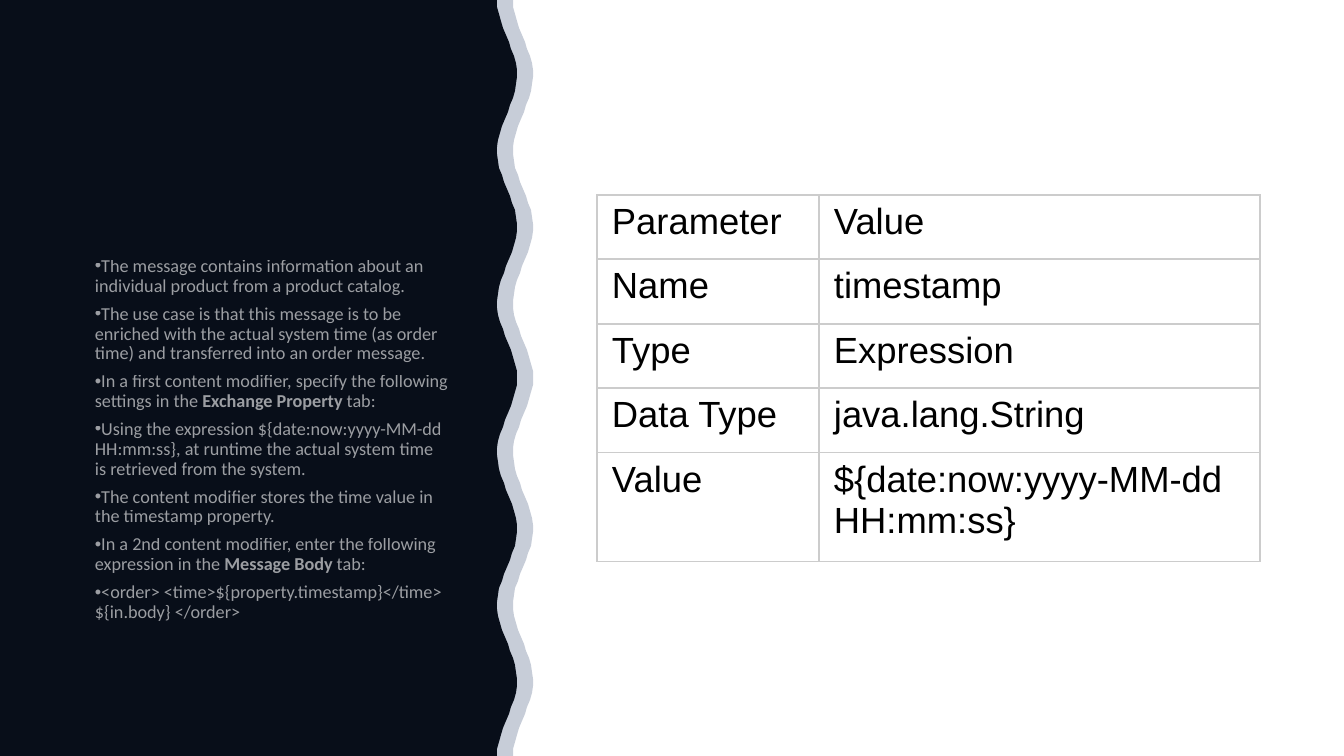
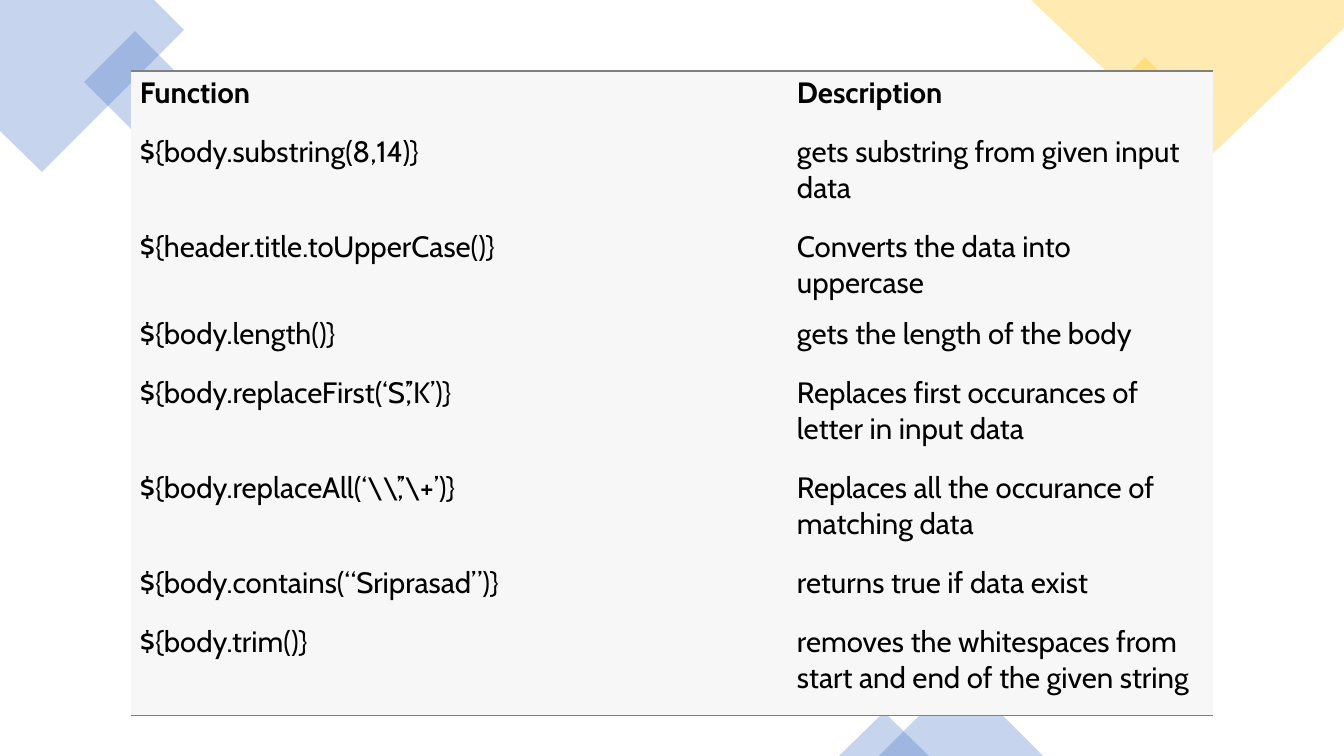
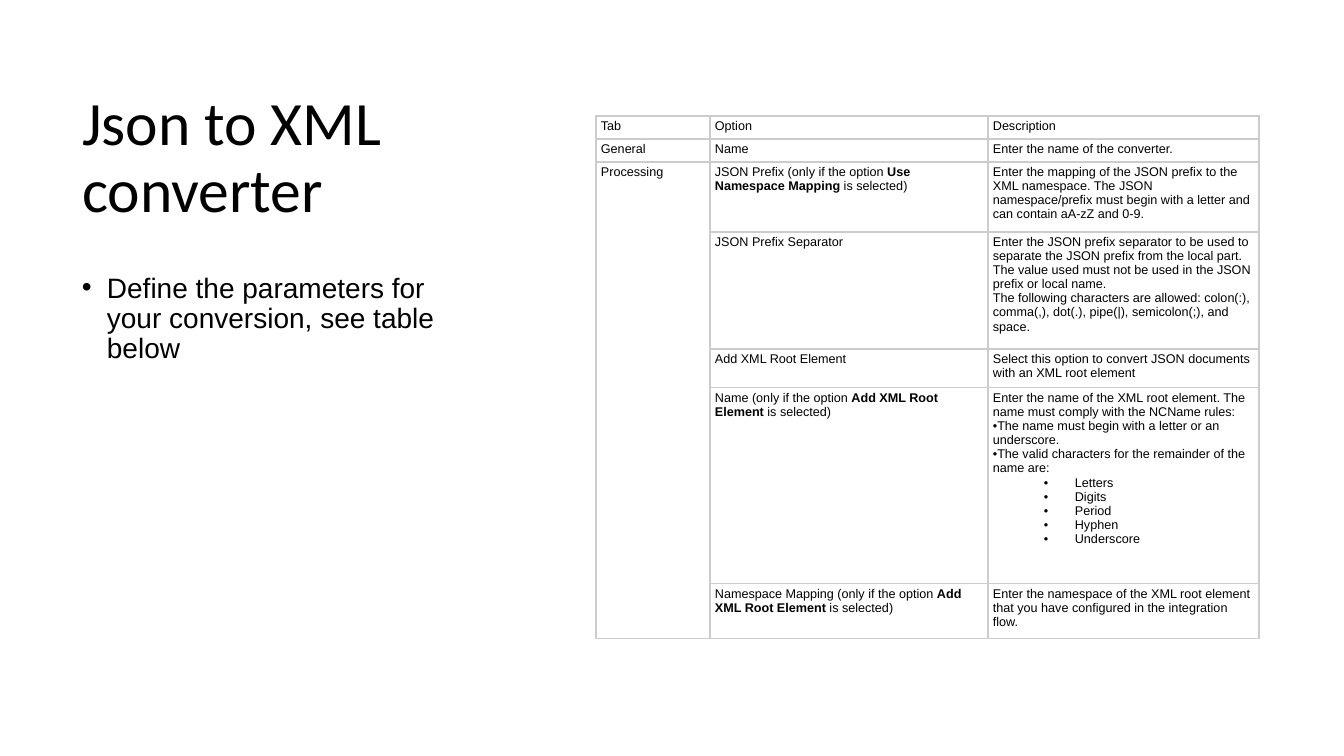
import math

import pptx
import pptx.dml.color
import pptx.enum.shapes
import pptx.enum.text
import pptx.oxml.ns
import pptx.util
from lxml import etree

WIDTH, HEIGHT = 1344, 756
PX = 12192000 / WIDTH
BLACK, WHITE = "000000", "FFFFFF"
NAVY, BLUE, GOLD = "203864", "4472C4", "FFC000"
PALE_GRAY, RULE_GRAY, GRID_GRAY = "F7F7F7", "808080", "CCCCCC"
NO_STYLE = "{2D5ABB26-0587-4C30-8999-92F81FD0307C}"
qn = pptx.oxml.ns.qn


def paint(fill, color, opacity=100):
    """Make a shape, cell, line or font fill solid, with opacity in percent."""
    fill.solid()
    fill.fore_color.rgb = pptx.dml.color.RGBColor.from_string(color)
    if opacity < 100:
        solid = fill._xPr.find(qn("a:solidFill"))
        etree.SubElement(solid[0], qn("a:alpha"), val=str(opacity * 1000))


def write(paragraph, text, font, size, color=BLACK, opacity=100, bullet=None):
    """Add text, bold between ** marks; bullet is (left margin, first indent) in px."""
    if bullet is not None:
        properties = paragraph._p.get_or_add_pPr()
        properties.set("marL", str(round(bullet[0] * PX)))
        properties.set("indent", str(round(bullet[1] * PX)))
        etree.SubElement(properties, qn("a:buFont"), typeface="Arial")
        etree.SubElement(properties, qn("a:buChar"), char="•")
    for index, part in enumerate(text.split("**")):
        run = paragraph.add_run()
        run.text = part
        run.font.name = font
        run.font.size = pptx.util.Pt(size)
        run.font.bold = index % 2 == 1
        paint(run.font.fill, color, opacity)


presentation = pptx.Presentation()
presentation.slide_width = round(WIDTH * PX)
presentation.slide_height = round(HEIGHT * PX)
title_only, blank = presentation.slide_layouts[5], presentation.slide_layouts[6]
message_slide = presentation.slides.add_slide(blank)
function_slide = presentation.slides.add_slide(blank)
converter_slide = presentation.slides.add_slide(title_only)

# Decorations: the wavy panel and the corner diamonds
decorations = []
for middle, color, opacity in [(507, BLACK, 100), (523, NAVY, 25)]:
    wave = [(middle - 10 * math.cos(2 * math.pi * 5 * y / HEIGHT), y)
            for y in range(0, HEIGHT + 1, 7)]
    builder = message_slide.shapes.build_freeform(0, 0, scale=PX)
    builder.add_line_segments(wave + [(0, HEIGHT)])
    decorations.append((builder.convert_to_shape(), color, opacity))

corners = [
    ([(0, 0), (154, 0), (184, 30), (42, 172), (0, 131)], BLUE),
    ([(1344, 0), (1344, 28), (1203, 163), (1031, 0)], GOLD),
]
for points, color in corners:
    builder = function_slide.shapes.build_freeform(*points[0], scale=PX)
    builder.add_line_segments(points[1:])
    decorations.append((builder.convert_to_shape(), color, 30))

RECTANGLE = pptx.enum.shapes.MSO_SHAPE.RECTANGLE
TRIANGLE = pptx.enum.shapes.MSO_SHAPE.ISOSCELES_TRIANGLE
for kind, box, rotation, color in [
    (RECTANGLE, (99, 46, 72, 72), 315, BLUE),
    (RECTANGLE, (1107, 73, 76, 76), 315, GOLD),
    (TRIANGLE, (879, 674, 164, 82), 0, BLUE),
    (TRIANGLE, (839, 712, 90, 44), 0, BLUE),
]:
    shape = function_slide.shapes.add_shape(kind, *[round(length * PX) for length in box])
    shape.rotation = rotation
    decorations.append((shape, color, 30))

for shape, color, opacity in decorations:
    shape.shadow.inherit = False
    shape.line.fill.background()
    paint(shape.fill, color, opacity)

# Title and bulleted texts
title = converter_slide.shapes.title
title.left, title.top, title.width, title.height = [
    round(length * PX) for length in (72, 70, 386, 178)]
title.text_frame.auto_size = pptx.enum.text.MSO_AUTO_SIZE.NONE
title.text_frame.vertical_anchor = pptx.enum.text.MSO_ANCHOR.MIDDLE
title_paragraph = title.text_frame.paragraphs[0]
title_paragraph.alignment = pptx.enum.text.PP_ALIGN.LEFT
title_paragraph.line_spacing = 0.9
write(title_paragraph, "Json to XML converter", "Calibri", 44)

message_notes = [
    "The message contains information about an individual product from a product catalog.",
    "The use case is that this message is to be enriched with the actual system time "
    "(as order time) and transferred into an order message.",
    "In a first content modifier, specify the following settings in the "
    "**Exchange Property** tab:",
    "Using the expression ${date:now:yyyy-MM-dd HH:mm:ss}, at runtime the actual system "
    "time is retrieved from the system.",
    "The content modifier stores the time value in the timestamp property.",
    "In a 2nd content modifier, enter the following expression in the **Message Body** tab:",
    "<order> <time>${property.timestamp}</time> ${in.body} </order>",
]
converter_notes = ["Define the parameters for your conversion, see table below"]
for slide, box, notes, before, after, style in [
    (message_slide, (85, 252, 373, 423), message_notes, 0, 6,
     dict(font="Calibri", size=13, color=WHITE, opacity=60, bullet=(0, -25))),
    (converter_slide, (72, 269, 386, 417), converter_notes, 10, 0,
     dict(font="Arial", size=20, bullet=(25, -25))),
]:
    frame = slide.shapes.add_textbox(*[round(length * PX) for length in box]).text_frame
    frame.word_wrap = True
    for index, note in enumerate(notes):
        paragraph = frame.add_paragraph() if index else frame.paragraphs[0]
        paragraph.line_spacing = 0.9
        paragraph.space_before = pptx.util.Pt(before)
        paragraph.space_after = pptx.util.Pt(after)
        write(paragraph, note, **style)

# Tables: a line starting with • is a bullet, with – an indented bullet
cell_bullets = {"•": (0, 0), "–": (82, -31)}
property_rows = [
    ["Parameter", "Value"],
    ["Name", "timestamp"],
    ["Type", "Expression"],
    ["Data Type", "java.lang.String"],
    ["Value", "${date:now:yyyy-MM-dd HH:mm:ss}"],
]
function_rows = [
    ["**Function**", "**Description**"],
    ["${body.substring(8,14)}", "gets substring from given input data"],
    ["${header.title.toUpperCase()}", "Converts the data into uppercase"],
    ["${body.length()}", "gets the length of the body"],
    ["${body.replaceFirst(‘S’,’K’)}", "Replaces first occurances of letter in input data"],
    [r"${body.replaceAll(‘\\’,’\+’)}", "Replaces all the occurance of matching data"],
    ["${body.contains(“Sriprasad”)}", "returns true if data exist"],
    ["${body.trim()}", "removes the whitespaces from start and end of the given string"],
]
option_rows = [
    ["Tab", "Option", "Description"],
    ["General", "Name", "Enter the name of the converter."],
    ["Processing",
     "JSON Prefix (only if the option **Use Namespace Mapping** is selected)",
     "Enter the mapping of the JSON prefix to the XML namespace. The JSON namespace/prefix "
     "must begin with a letter and can contain aA-zZ and 0-9."],
    [None, "JSON Prefix Separator",
     "Enter the JSON prefix separator to be used to separate the JSON prefix from the local "
     "part. The value used must not be used in the JSON prefix or local name.\n"
     "The following characters are allowed: colon(:), comma(,), dot(.), pipe(|), "
     "semicolon(;), and space."],
    [None, "Add XML Root Element",
     "Select this option to convert JSON documents with an XML root element"],
    [None, "Name (only if the option **Add XML Root Element** is selected)",
     "Enter the name of the XML root element. The name must comply with the NCName rules:\n"
     "•The name must begin with a letter or an underscore.\n"
     "•The valid characters for the remainder of the name are:\n"
     "–Letters\n–Digits\n–Period\n–Hyphen\n–Underscore"],
    [None, "Namespace Mapping (only if the option **Add XML Root Element** is selected)",
     "Enter the namespace of the XML root element that you have configured in the "
     "integration flow."],
]
tables = [
    dict(slide=message_slide, at=(597, 195), columns=[222, 441],
         heights=[64, 65, 64, 65, 109], rows=property_rows, insets=(15, 7, 15, 7),
         font="Arial", size=26, fill=None, grid=True),
    dict(slide=function_slide, at=(131, 71), columns=[657, 425],
         heights=[59, 95, 59, 59, 95, 95, 59, 95], rows=function_rows, insets=(9, 4, 9, 13),
         font="Cabin", size=21, fill=PALE_GRAY, grid=False),
    dict(slide=converter_slide, at=(596, 116), columns=[114, 278, 271],
         heights=[23, 23, 70, 117, 39, 196, 55], rows=option_rows, insets=(5, 3, 5, 3),
         font="Arial", size=9, fill=None, grid=True),
]
for spec_table in tables:
    rows, columns, heights = spec_table["rows"], spec_table["columns"], spec_table["heights"]
    box = (*spec_table["at"], sum(columns), sum(heights))
    table = spec_table["slide"].shapes.add_table(
        len(rows), len(columns), *[round(length * PX) for length in box]).table
    table.first_row = table.horz_banding = False
    table._tbl.tblPr.find(qn("a:tableStyleId")).text = NO_STYLE
    for column, width in zip(table.columns, columns):
        column.width = round(width * PX)
    for row, height in zip(table.rows, heights):
        row.height = round(height * PX)

    for row_index, row in enumerate(rows):
        if spec_table["grid"]:
            sides, border = ["lnL", "lnR", "lnT", "lnB"], GRID_GRAY
        else:
            sides, border = {0: ["lnT"], len(rows) - 1: ["lnB"]}.get(row_index, []), RULE_GRAY
        for column_index, text in enumerate(row):
            cell = table.cell(row_index, column_index)
            cell.margin_left, cell.margin_top, cell.margin_right, cell.margin_bottom = [
                round(inset * PX) for inset in spec_table["insets"]]
            for side in sides:
                line = etree.SubElement(cell._tc.get_or_add_tcPr(), qn("a:" + side), w="12700")
                solid = etree.SubElement(line, qn("a:solidFill"))
                etree.SubElement(solid, qn("a:srgbClr"), val=border)
            if spec_table["fill"]:
                paint(cell.fill, spec_table["fill"])
            else:
                cell.fill.background()
            if text is None:
                continue
            for index, words in enumerate(text.split("\n")):
                frame = cell.text_frame
                paragraph = frame.add_paragraph() if index else frame.paragraphs[0]
                write(paragraph, words.lstrip("•–"), spec_table["font"], spec_table["size"],
                      bullet=cell_bullets.get(words[0]))

    continued = [index for index, row in enumerate(rows) if row[0] is None]
    if continued:
        table.cell(continued[0] - 1, 0).merge(table.cell(continued[-1], 0))

presentation.save("out.pptx")
